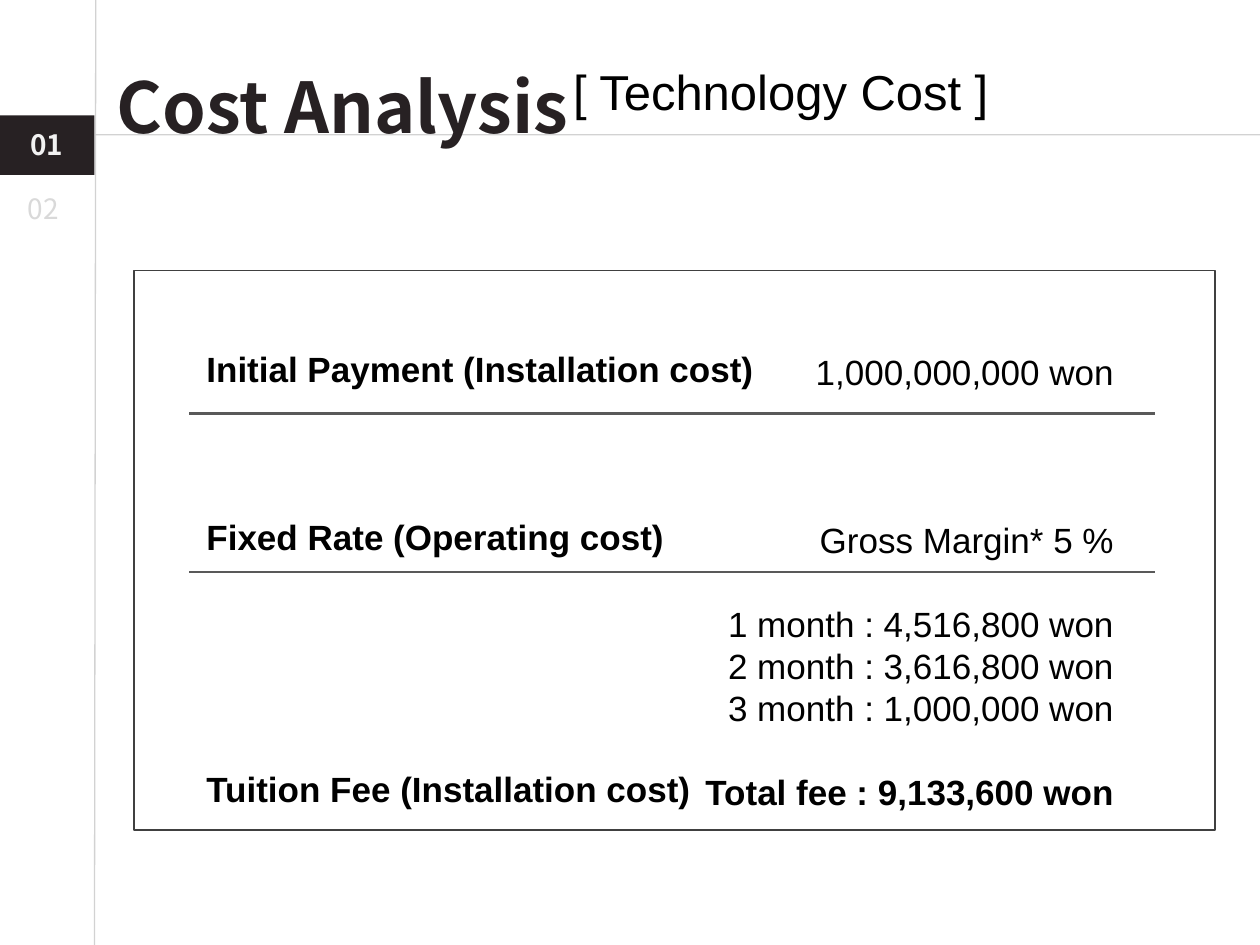
import pptx
import pptx.util
import pptx.dml.color
import pptx.enum.shapes
import pptx.enum.text
import pptx.oxml
import pptx.oxml.ns
from dataclasses import dataclass

Pt = pptx.util.Pt
ALIGN = pptx.enum.text.PP_ALIGN

LABELS = [
    ("Initial Payment (Installation cost)", 0, True),
    ("Fixed Rate (Operating cost)", 3, True),
    ("Tuition Fee (Installation cost)", 5, True),
]
AMOUNTS = [
    ("1,000,000,000 won", 0, False),
    ("Gross Margin* 5 %", 3, False),
    ("1 month : 4,516,800 won", 1, False),
    ("2 month : 3,616,800 won", 0, False),
    ("3 month : 1,000,000 won", 0, False),
    ("Total fee : 9,133,600 won", 1, True),
]


@dataclass(frozen=True)
class Theme:
    heading_font: str = "Noto Sans CJK KR"
    body_font: str = "Arial"
    dark: str = "272123"
    black: str = "000000"
    active: str = "F2F2F2"
    inactive: str = "D9D9D9"
    guide: str = "A6A6A6"
    divider: str = "595959"
    frame: str = "404040"
    title_size: int = 40
    subtitle_size: int = 28
    body_size: int = 20
    tab_size: int = 16
    row_pitch: int = 24


THEME = Theme()
WIDTH, HEIGHT = 720, 540
RAIL_X, RULE_Y = 54, 77.04
DIVIDER_LEFT, DIVIDER_RIGHT = 108, 660.24

deck = pptx.Presentation()
deck.slide_width, deck.slide_height = Pt(WIDTH), Pt(HEIGHT)
slide = deck.slides.add_slide(deck.slide_layouts[6])


def rgb(color):
    return pptx.dml.color.RGBColor.from_string(color)


def add_text(rows, box, *, size, font=THEME.body_font, color=THEME.black,
             align=ALIGN.LEFT, spacing=None):
    frame = slide.shapes.add_textbox(*map(Pt, box)).text_frame
    frame.word_wrap = True
    for index, (words, skipped_rows, bold) in enumerate(rows):
        paragraph = frame.paragraphs[0] if index == 0 else frame.add_paragraph()
        paragraph.alignment = align
        if spacing is not None:
            paragraph.line_spacing = spacing
        if skipped_rows:
            paragraph.space_before = Pt(skipped_rows * THEME.row_pitch)
        run = paragraph.add_run()
        run.text = words
        run.font.name = font
        run.font.size = Pt(size)
        run.font.bold = bold
        run.font.color.rgb = rgb(color)


def add_rule(start, end, color, weight, opacity=None):
    rule = slide.shapes.add_connector(
        pptx.enum.shapes.MSO_CONNECTOR.STRAIGHT, *map(Pt, start + end))
    rule.line.color.rgb = rgb(color)
    rule.line.width = Pt(weight)
    properties = rule._element.spPr
    if opacity is not None:
        tone = properties.find(".//" + pptx.oxml.ns.qn("a:srgbClr"))
        alpha = pptx.oxml.parse_xml(
            f'<a:alpha {pptx.oxml.ns.nsdecls("a")} val="{opacity * 1000}"/>')
        tone.append(alpha)
    properties.append(
        pptx.oxml.parse_xml(f'<a:effectLst {pptx.oxml.ns.nsdecls("a")}/>'))


def add_rectangle(box, fill=None, outline=None):
    rectangle = slide.shapes.add_shape(
        pptx.enum.shapes.MSO_SHAPE.RECTANGLE, *map(Pt, box))
    rectangle.shadow.inherit = False
    if fill:
        rectangle.fill.solid()
        rectangle.fill.fore_color.rgb = rgb(fill)
    else:
        rectangle.fill.background()
    if outline:
        rectangle.line.color.rgb = rgb(outline)
        rectangle.line.width = Pt(1)
    else:
        rectangle.line.fill.background()


add_rule((RAIL_X + 0.72, 0), (RAIL_X, HEIGHT), THEME.guide, 0.75, opacity=50)
add_rule((WIDTH, RULE_Y), (RAIL_X + 0.72, RULE_Y), THEME.guide, 0.75, opacity=50)

add_text([("Cost Analysis", 0, True)], (59.76, 8.64, 332.64, 71.28),
         size=THEME.title_size, font=THEME.heading_font, color=THEME.dark,
         spacing=1.5)
add_text([("02", 0, False)], (8.64, 105.84, 35.28, 26.64),
         size=THEME.tab_size, font=THEME.heading_font, color=THEME.inactive)
add_rectangle((0, 66, RAIL_X, 34), fill=THEME.dark)
add_text([("01", 0, True)], (10.08, 69.12, 43.92, 26.64),
         size=THEME.tab_size, font=THEME.heading_font, color=THEME.active)
add_text([("[ Technology Cost ]", 0, False)], (320.4, 31.68, 264.96, 41.04),
         size=THEME.subtitle_size)

add_text(LABELS, (110.88, 195.12, 349.92, 273.6), size=THEME.body_size,
         spacing=Pt(THEME.row_pitch))
add_text(AMOUNTS, (321.84, 196.56, 321.84, 273.6), size=THEME.body_size,
         align=ALIGN.RIGHT, spacing=Pt(THEME.row_pitch))

for divider_y in (236.16, 326.88):
    add_rule((DIVIDER_LEFT, divider_y), (DIVIDER_RIGHT, divider_y),
             THEME.divider, 1.5)
add_rectangle((76.5, 154.6, 617.8, 319.6), outline=THEME.frame)

deck.save("out.pptx")
